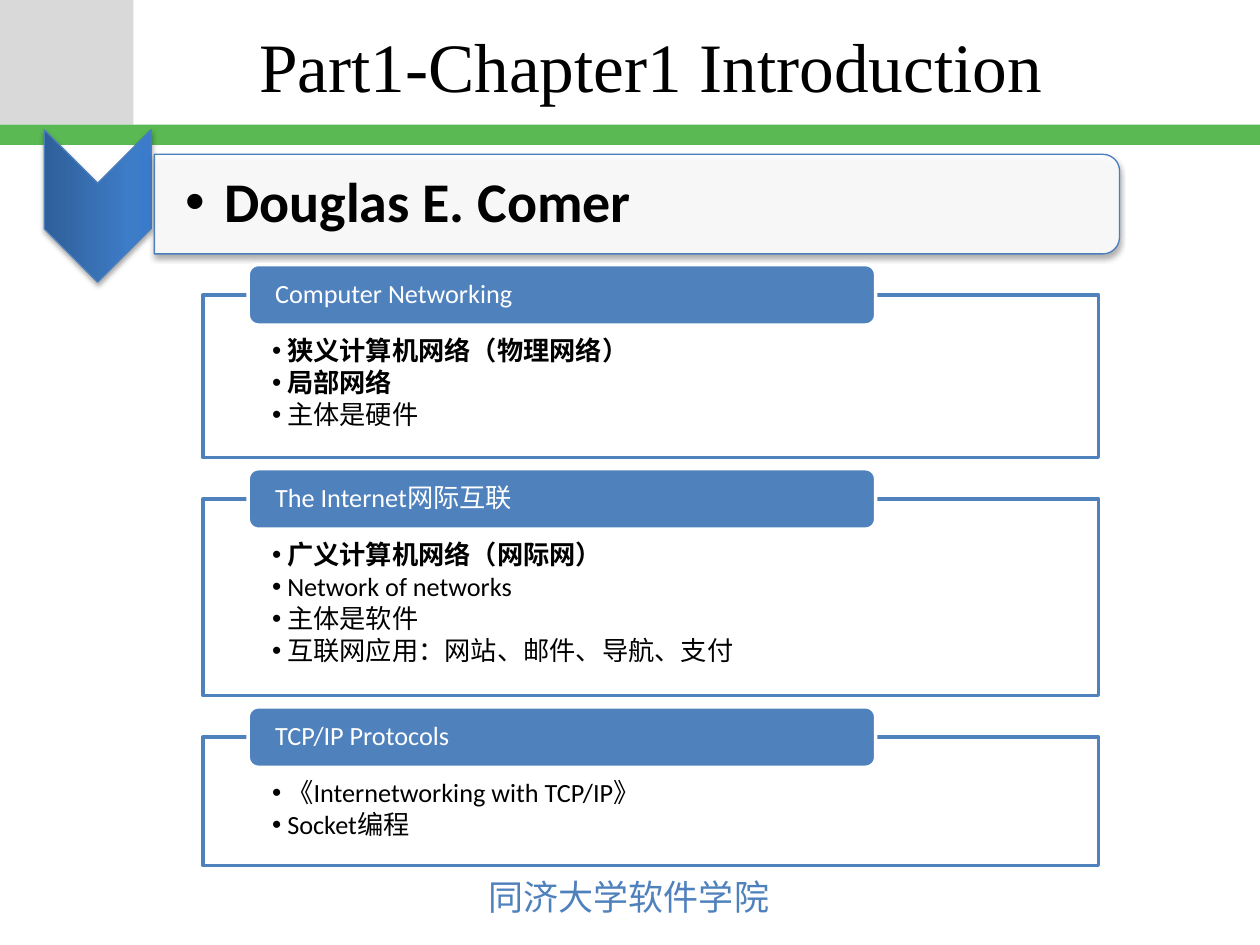
from copy import deepcopy
from dataclasses import dataclass

from lxml import etree
from pptx import Presentation
from pptx.dml.color import RGBColor
from pptx.enum.shapes import MSO_SHAPE
from pptx.enum.text import MSO_ANCHOR, MSO_AUTO_SIZE, PP_ALIGN
from pptx.oxml.ns import qn
from pptx.util import Inches, Pt

RECT, ROUNDED = MSO_SHAPE.RECTANGLE, MSO_SHAPE.ROUNDED_RECTANGLE
CHEVRON, TOP_ROUNDED = MSO_SHAPE.CHEVRON, MSO_SHAPE.ROUND_2_SAME_RECTANGLE
TOP, MIDDLE = MSO_ANCHOR.TOP, MSO_ANCHOR.MIDDLE
LEFT, CENTER = PP_ALIGN.LEFT, PP_ALIGN.CENTER
NO_AUTOFIT = MSO_AUTO_SIZE.NONE
WIDTH, HEIGHT = Inches(10), Inches(7.5)


@dataclass(frozen=True)
class Theme:
    title_font: str = "Times New Roman"
    body_font: str = "Calibri"
    footer_font: str = "Noto Sans CJK JP"
    title_size: float = 39.6
    author_size: float = 32
    footer_size: float = 20
    body_size: float = 15
    black: str = "000000"
    white: str = "FFFFFF"
    gray: str = "D9D9D9"
    green: str = "5AB953"
    blue: str = "4F81BD"
    edge: str = "4B7EBC"
    gradient: tuple = ((0, "2F5F99"), (0.8, "3D7CC7"), (1, "3A7CCB"))


THEME = Theme()
SECTIONS = [
    ("Computer Networking",
     [("狭义计算机网络（物理网络）", True), ("局部网络", True), ("主体是硬件", False)]),
    ("The Internet网际互联",
     [("广义计算机网络（网际网）", True), ("Network of networks", False),
      ("主体是软件", False), ("互联网应用：网站、邮件、导航、支付", False)]),
    ("TCP/IP Protocols",
     [("《Internetworking with TCP/IP》", False), ("Socket编程", False)]),
]


def share(x, y, w, h):
    return [int(full * part / 100)
            for full, part in zip((WIDTH, HEIGHT, WIDTH, HEIGHT), (x, y, w, h))]


def add_block(s, kind, box, fill=None, line=None, weight=2, opacity=100):
    sp = s.shapes.add_shape(kind, *share(*box))
    sp.shadow.inherit = False
    if fill:
        sp.fill.solid()
        sp.fill.fore_color.rgb = RGBColor.from_string(fill)
        if opacity < 100:
            color = sp.element.spPr.find(qn("a:solidFill"))[0]
            etree.SubElement(color, qn("a:alpha"), val=str(opacity * 1000))
    if line:
        sp.line.color.rgb = RGBColor.from_string(line)
        sp.line.width = Pt(weight)
    else:
        sp.line.fill.background()
    return sp


def add_shadow(sp):
    effects = sp.element.spPr.find(qn("a:effectLst"))
    shadow = etree.SubElement(effects, qn("a:outerShdw"), blurRad=str(Pt(3.1)),
                              dist=str(Pt(1.8)), dir="5400000", rotWithShape="0")
    color = etree.SubElement(shadow, qn("a:srgbClr"), val=THEME.black)
    etree.SubElement(color, qn("a:alpha"), val="35000")


def fill_gradient(sp):
    sp.fill.gradient()
    sp.fill.gradient_angle = 90
    stops = sp.element.spPr.find(qn("a:gradFill")).find(qn("a:gsLst"))
    stops.append(deepcopy(stops[0]))
    for stop, (position, color) in zip(sp.fill.gradient_stops, THEME.gradient):
        stop.position = position
        stop.color.rgb = RGBColor.from_string(color)


def set_frame(tf, insets, anchor, wrap=True):
    tf.word_wrap = wrap
    tf.vertical_anchor = anchor
    tf.margin_left, tf.margin_top, tf.margin_right, tf.margin_bottom = map(Inches, insets)


def format_paragraph(p, size, color, font=THEME.body_font, bold=False, align=LEFT):
    p.alignment = align
    for r in p.runs:
        r.font.size = Pt(size)
        r.font.bold = bold
        r.font.name = font
        r.font.color.rgb = RGBColor.from_string(color)
        etree.SubElement(r.font._element, qn("a:ea"), typeface=font)


def add_bullet(p, indent, space):
    p.level = 1
    p.line_spacing = 0.9
    p.space_after = Pt(space)
    pPr = p._p.get_or_add_pPr()
    pPr.set("marL", str(Inches(indent)))
    pPr.set("indent", str(-Inches(indent)))
    etree.SubElement(pPr, qn("a:buFont"), typeface="Arial")
    etree.SubElement(pPr, qn("a:buChar"), char="•")


def add_text(s, text, box, insets, anchor, wrap=True):
    tf = s.shapes.add_textbox(*share(*box)).text_frame
    set_frame(tf, insets, anchor, wrap)
    tf.text = text
    return tf.paragraphs[0]


def add_title(s, text):
    sp = s.shapes.title
    sp.left, sp.top, sp.width, sp.height = share(17.4, 0.27, 68.5, 13.07)
    tf = sp.text_frame
    tf.text = text
    tf.auto_size = NO_AUTOFIT
    tf.vertical_anchor = MIDDLE
    format_paragraph(tf.paragraphs[0], THEME.title_size, THEME.black,
                     THEME.title_font, align=CENTER)


def add_author(s, name):
    arrow = add_block(s, CHEVRON, (1.7, 16.13, 12.1, 11.33), line=THEME.edge, weight=0.75)
    fill_gradient(arrow)
    bar = add_block(s, TOP_ROUNDED, (46.6, -29.47, 7.9, 102.13), THEME.white,
                    THEME.edge, 0.75, 90)
    for sp in (arrow, bar):
        sp.rotation = 90
        add_shadow(sp)
    p = add_text(s, name, (12.2, 16.93, 76.3, 9.47), (0.25, 0.02, 0.02, 0.02), MIDDLE)
    format_paragraph(p, THEME.author_size, THEME.black, bold=True)
    add_bullet(p, 0.31, 4.8)


def add_section(s, heading, items, top, height):
    card = add_block(s, RECT, (16.1, top, 71.1, height), THEME.white, THEME.blue, opacity=90)
    tf = card.text_frame
    set_frame(tf, (0.55, 0.34, 0.55, 0.12), TOP)
    tf.text = "\n".join(text for text, _ in items)
    for p, (_, bold) in zip(tf.paragraphs, items):
        format_paragraph(p, THEME.body_size, THEME.black, bold=bold)
        add_bullet(p, 0.12, 2)
    label = add_block(s, ROUNDED, (19.7, top - 3.2, 49.8, 6.4), THEME.blue, THEME.white)
    tf = label.text_frame
    set_frame(tf, (0.19, 0, 0.19, 0), MIDDLE)
    tf.text = heading
    tf.paragraphs[0].line_spacing = 0.9
    format_paragraph(tf.paragraphs[0], THEME.body_size, THEME.white)


def main():
    prs = Presentation()
    prs.slide_width, prs.slide_height = WIDTH, HEIGHT
    s = prs.slides.add_slide(prs.slide_layouts[5])
    add_block(s, RECT, (0, 0, 10.6, 13.2), THEME.gray)
    add_block(s, RECT, (0, 13.2, 100, 2.13), THEME.green)
    p = add_text(s, "同济大学软件学院", (37.8, 92, 24.5, 5.87),
                 (0.1, 0.05, 0.1, 0.05), TOP, wrap=False)
    format_paragraph(p, THEME.footer_size, THEME.blue, THEME.footer_font)
    add_title(s, "Part1-Chapter1 Introduction")
    add_author(s, "Douglas E. Comer")
    top = 31.2
    for heading, items in SECTIONS:
        height = 6.4 + 3.6 * len(items)
        add_section(s, heading, items, top, height)
        top += height + 4.4
    prs.save("out.pptx")


if __name__ == "__main__":
    main()
